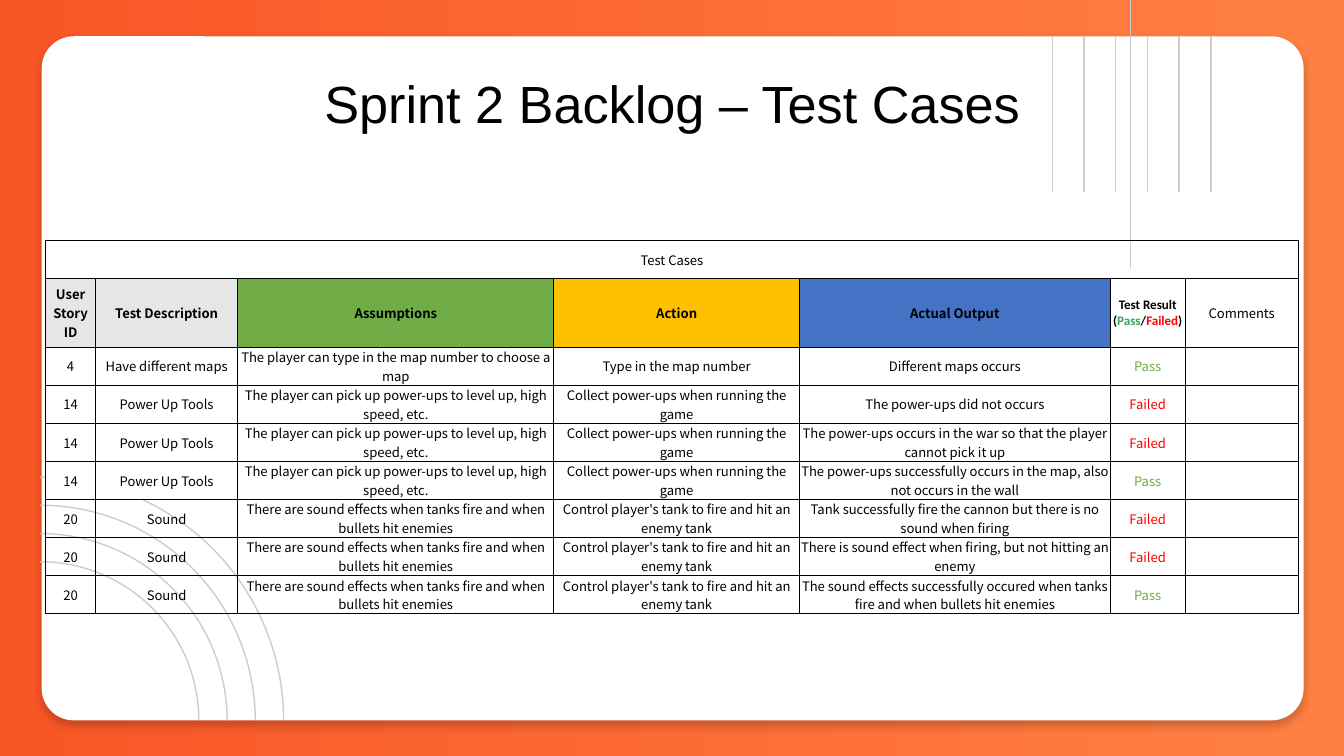
"""Build the Sprint 2 test case slide."""
from dataclasses import dataclass

from lxml.etree import SubElement
from pptx import Presentation
from pptx.dml.color import RGBColor
from pptx.enum.shapes import MSO_CONNECTOR as Connector, MSO_SHAPE as Shape
from pptx.enum.text import MSO_ANCHOR as Anchor, PP_ALIGN as Align
from pptx.oxml.ns import qn
from pptx.util import Inches, Pt


@dataclass(frozen=True)
class Theme:
    """Colours, fonts and type sizes of the slide."""
    gradient: tuple = ("F95626", "FF8042")
    white: str = "FFFFFF"
    black: str = "000000"
    ornament: str = "CCCCCC"
    grey: str = "E7E6E6"
    green: str = "70AD47"
    pass_green: str = "34A853"
    yellow: str = "FFC000"
    blue: str = "4472C4"
    red: str = "FF0000"
    title_font: str = "Arial"
    table_font: str = "Noto Sans CJK SC"
    result_font: str = "Calibri"
    title_size: float = 28
    table_size: float = 7
    line_width: float = 0.75
    border_width: float = 0.5


THEME = Theme()
SLIDE_WIDTH = 10
COLUMN_WIDTHS = (0.37, 1.06, 2.35, 1.83, 2.31, 0.56, 0.84)
HEADER_HEIGHT = 0.51
ROW_HEIGHT = 2.27 / 8
HEADERS = (
    ("User Story ID", THEME.grey),
    ("Test Description", THEME.grey),
    ("Assumptions", THEME.green),
    ("Action", THEME.yellow),
    ("Actual Output", THEME.blue),
)
RESULT_HEADER = (
    ("(", THEME.black),
    ("Pass", THEME.pass_green),
    ("/", THEME.black),
    ("Failed", THEME.red),
    (")", THEME.black),
)
RESULT_COLORS = {"Pass": THEME.green, "Failed": THEME.red}
STORIES = (
    (("4", "Have different maps",
      "The player can type in the map number to choose a map",
      "Type in the map number"), THEME.white,
     (("Different maps occurs", "Pass"),)),
    (("14", "Power Up Tools",
      "The player can pick up power-ups to level up, high speed, etc.",
      "Collect power-ups when running the game"), THEME.white,
     (("The power-ups did not occurs", "Failed"),
      ("The power-ups occurs in the war so that the player cannot pick it up", "Failed"),
      ("The power-ups successfully occurs in the map, also not occurs in the wall", "Pass"))),
    (("20", "Sound",
      "There are sound effects when tanks fire and when bullets hit enemies",
      "Control player's tank to fire and hit an enemy tank"), None,
     (("Tank successfully fire the cannon but there is no sound when firing", "Failed"),
      ("There is sound effect when firing, but not hitting an enemy", "Failed"),
      ("The sound effects successfully occured when tanks fire and when bullets hit enemies",
       "Pass"))),
)


def rgb(color):
    """Turn a hex string into a colour."""
    return RGBColor.from_string(color)


def add_text(paragraph, text, *, size=THEME.table_size, color=THEME.black,
             font=THEME.table_font, bold=False):
    """Add one centred run with its format."""
    paragraph.alignment = Align.CENTER
    run = paragraph.add_run()
    run.text = text
    run.font.size = Pt(size)
    run.font.name = font
    run.font.bold = bold
    run.font.color.rgb = rgb(color)


def set_background(slide):
    """Fill the slide with the horizontal gradient."""
    fill = slide.background.fill
    fill.gradient()
    fill.gradient_angle = 0
    for stop, color in zip(fill.gradient_stops, THEME.gradient):
        stop.color.rgb = rgb(color)


def add_card(slide):
    """Add the white rounded card with its soft shadow."""
    card = slide.shapes.add_shape(
        Shape.ROUNDED_RECTANGLE, Inches(0.31), Inches(0.27), Inches(9.39), Inches(5.09))
    card.adjustments[0] = 0.047
    card.fill.solid()
    card.fill.fore_color.rgb = rgb(THEME.white)
    card.line.fill.background()
    card.shadow.inherit = False
    effects = card._element.spPr.find(qn("a:effectLst"))
    shadow = SubElement(effects, qn("a:outerShdw"), blurRad=str(Pt(4.5)),
                        dist=str(Pt(3)), dir="5400000", algn="bl", rotWithShape="0")
    color = SubElement(shadow, qn("a:srgbClr"), val=THEME.black)
    SubElement(color, qn("a:alpha"), val="20000")


def style_line(shape):
    """Give an ornament its thin grey line."""
    shape.line.color.rgb = rgb(THEME.ornament)
    shape.line.width = Pt(THEME.line_width)


def add_arc(slide, radius):
    """Add a quarter arc around the lower left corner of the card."""
    arc = slide.shapes.add_shape(
        Shape.ARC, Inches(0.3 - radius), Inches(5.36 - radius),
        Inches(2 * radius), Inches(2 * radius))
    arc.fill.background()
    arc.shadow.inherit = False
    style_line(arc)


def add_vertical(slide, x, top, length):
    """Add a vertical ornament line."""
    line = slide.shapes.add_connector(
        Connector.STRAIGHT, Inches(x), Inches(top), Inches(x), Inches(top + length))
    style_line(line)
    SubElement(line._element.spPr, qn("a:effectLst"))


def add_ornaments(slide):
    """Add the arcs and the vertical lines."""
    for index in range(4):
        add_arc(slide, 1.18 + 0.21 * index)
    for index in range(6):
        add_vertical(slide, 7.83 + 1.18 / 5 * index, 0.27, 1.16)
    for index in range(4):
        add_vertical(slide, 8.41, -0.32 + 0.7 / 3 * index, 1.62)


def add_title(slide):
    """Add the slide title."""
    box = slide.shapes.add_textbox(Inches(0.49), Inches(0.34), Inches(9.02), Inches(0.84))
    frame = box.text_frame
    frame.word_wrap = True
    frame.vertical_anchor = Anchor.MIDDLE
    frame.margin_left = frame.margin_right = Inches(0.1)
    frame.margin_top = frame.margin_bottom = Inches(0.1)
    add_text(frame.paragraphs[0], "Sprint 2 Backlog – Test Cases",
             size=THEME.title_size, font=THEME.title_font)


def style_cell(cell, fill=None):
    """Set margins, borders and fill of a cell and return its paragraph."""
    cell.vertical_anchor = Anchor.MIDDLE
    cell.margin_left = cell.margin_right = cell.margin_top = cell.margin_bottom = 0
    for side in ("L", "R", "T", "B"):
        border = SubElement(cell._tc.get_or_add_tcPr(), qn(f"a:ln{side}"),
                            w=str(Pt(THEME.border_width)))
        solid = SubElement(border, qn("a:solidFill"))
        SubElement(solid, qn("a:srgbClr"), val=THEME.black)
    if fill:
        cell.fill.solid()
        cell.fill.fore_color.rgb = rgb(fill)
    else:
        cell.fill.background()
    return cell.text_frame.paragraphs[0]


def fill_cell(cell, text="", fill=None, **text_format):
    """Style a cell and write its text, keeping empty cells low."""
    paragraph = style_cell(cell, fill)
    if text:
        add_text(paragraph, text, **text_format)
    else:
        SubElement(paragraph._p, qn("a:endParaRPr"), sz=str(int(THEME.table_size * 100)))


def fill_headers(table):
    """Write the spanning title and the column headers."""
    last = len(COLUMN_WIDTHS) - 1
    table.cell(0, 0).merge(table.cell(0, last))
    for column in range(last + 1):
        fill_cell(table.cell(0, column), "" if column else "Test Cases")
    for column, (text, fill) in enumerate(HEADERS):
        fill_cell(table.cell(1, column), text, fill, bold=True)
    paragraph = style_cell(table.cell(1, last - 1), THEME.white)
    add_text(paragraph, "Test Result", font=THEME.result_font, bold=True)
    paragraph.add_line_break()
    for text, color in RESULT_HEADER:
        add_text(paragraph, text, color=color, font=THEME.result_font, bold=True)
    fill_cell(table.cell(1, last), "Comments")


def add_test_table(slide):
    """Add the table of test cases."""
    tests = [(story, fill, outcome) for story, fill, outcomes in STORIES for outcome in outcomes]
    heights = [ROW_HEIGHT, HEADER_HEIGHT] + [ROW_HEIGHT] * len(tests)
    table = slide.shapes.add_table(
        len(heights), len(COLUMN_WIDTHS), Inches(0.34), Inches(1.79),
        Inches(sum(COLUMN_WIDTHS)), Inches(sum(heights))).table
    table.first_row = table.horz_banding = False
    for column, width in zip(table.columns, COLUMN_WIDTHS):
        column.width = Inches(width)
    for row, height in zip(table.rows, heights):
        row.height = Inches(height)
    fill_headers(table)
    for row, (story, fill, (output, result)) in enumerate(tests, 2):
        for column, text in enumerate((*story, output, result, "")):
            fill_cell(table.cell(row, column), text, fill if column < 2 else None,
                      color=RESULT_COLORS.get(text, THEME.black))


def main():
    """Build and save the presentation."""
    presentation = Presentation()
    presentation.slide_width = Inches(SLIDE_WIDTH)
    presentation.slide_height = Inches(SLIDE_WIDTH * 9 / 16)
    slide = presentation.slides.add_slide(presentation.slide_layouts[6])
    set_background(slide)
    add_card(slide)
    add_ornaments(slide)
    add_title(slide)
    add_test_table(slide)
    presentation.save("out.pptx")


if __name__ == "__main__":
    main()
